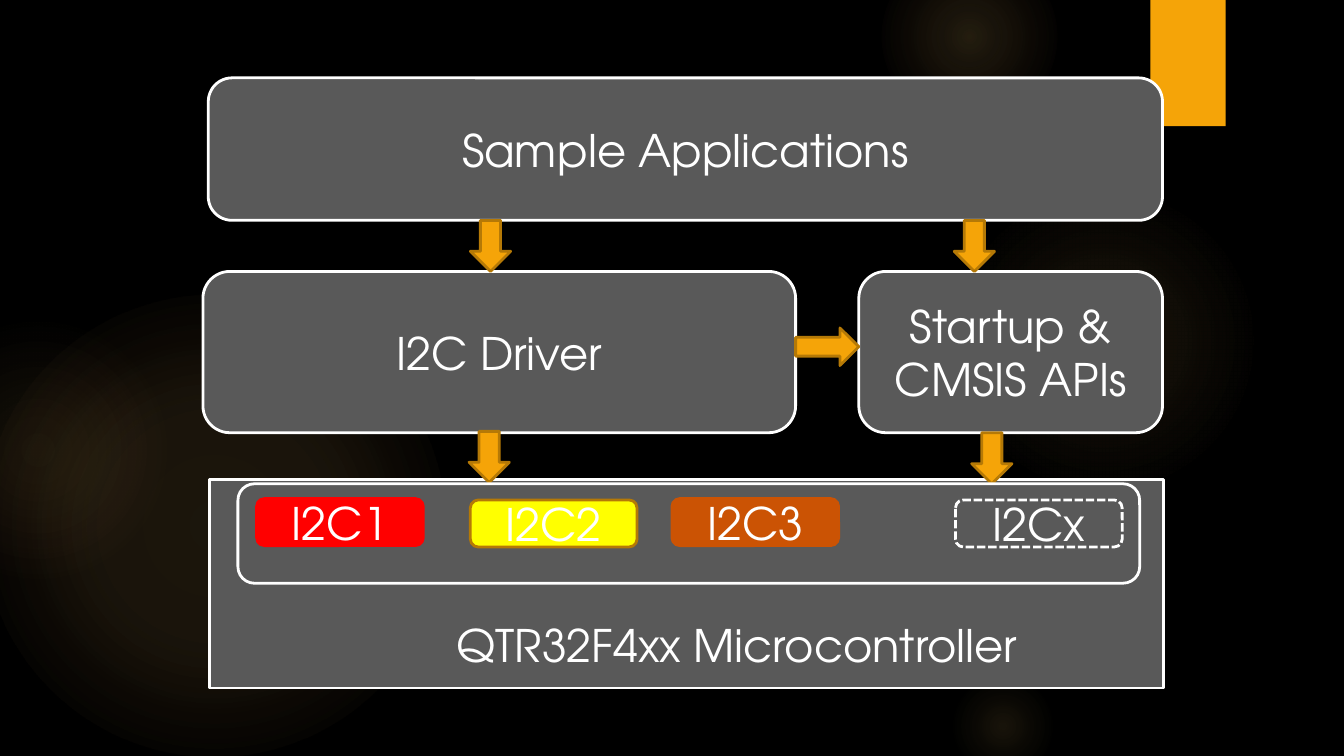
from dataclasses import dataclass
from typing import Optional

from lxml.etree import SubElement
from pptx import Presentation
from pptx.dml.color import RGBColor
from pptx.enum.dml import MSO_LINE_DASH_STYLE as Dash
from pptx.enum.shapes import MSO_SHAPE as Preset
from pptx.enum.text import MSO_ANCHOR, MSO_AUTO_SIZE, PP_ALIGN
from pptx.oxml import parse_xml
from pptx.oxml.ns import nsdecls, qn
from pptx.shapes.autoshape import Shape
from pptx.slide import Slide
from pptx.util import Inches, Pt

SLIDE_WIDTH = 10
SLIDE_HEIGHT = SLIDE_WIDTH * 9 / 16


@dataclass(frozen=True)
class Theme:
    background: str = "000000"
    panel: str = "595959"
    light: str = "FFFFFF"
    accent: str = "F5A408"
    accent_edge: str = "B57906"
    glow: str = "FAC96A"
    glow_warm: str = "F59B74"
    red: str = "FF0000"
    yellow: str = "FFFF00"
    rust: str = "CB5304"
    font: str = "TeX Gyre Adventor"
    text_size: float = 24
    line_width: float = 1.5


THEME = Theme()


@dataclass(frozen=True)
class Glow:
    left: float
    top: float
    size: float
    inner_alpha: int
    middle_alpha: int
    middle_stop: int
    outer_stop: int
    outer_color: str = THEME.glow


@dataclass(frozen=True)
class Block:
    left: float
    top: float
    width: float
    height: float
    label: str = ""
    fill: Optional[str] = THEME.panel
    line: Optional[str] = THEME.light
    preset: Preset = Preset.FLOWCHART_ALTERNATE_PROCESS
    dash: Optional[Dash] = None


GLOWS = [
    Glow(-0.13, 2.19, 3.44, 11, 10, 36, 75),
    Glow(-0.69, 2.38, 1.94, 8, 5, 36, 71, THEME.glow_warm),
    Glow(7.06, 1.38, 2.31, 7, 6, 36, 69),
    Glow(6.56, -0.38, 1.31, 14, 7, 36, 73),
    Glow(7.06, 5, 0.81, 10, 5, 31, 66),
]
ACCENT_BAR = Block(8.56, 0, 0.56, 0.94, fill=THEME.accent, line=None,
                   preset=Preset.RECTANGLE)
MICROCONTROLLER = Block(1.56, 3.57, 7.1, 1.55, preset=Preset.RECTANGLE)
PERIPHERAL_BANK = Block(1.77, 3.6, 6.71, 0.74, fill=None)


def peripheral(left: float, top: float, label: str, fill: Optional[str],
               line: str, dash: Optional[Dash] = None) -> Block:
    return Block(left, top, 1.24, 0.35, label, fill, line, dash=dash)


def down_arrow(left: float, top: float) -> Block:
    return Block(left, top, 0.3, 0.38, fill=THEME.accent,
                 line=THEME.accent_edge, preset=Preset.DOWN_ARROW)


PERIPHERALS = [
    peripheral(1.91, 3.71, "I2C1", THEME.red, THEME.red),
    peripheral(3.5, 3.72, "I2C2", THEME.yellow, THEME.accent_edge),
    peripheral(5, 3.71, "I2C3", THEME.rust, THEME.rust),
    peripheral(7.11, 3.72, "I2Cx", None, THEME.light, Dash.SQUARE_DOT),
]
SOFTWARE_LAYERS = [
    Block(1.51, 2.02, 4.41, 1.2, "I2C Driver"),
    Block(6.39, 2.02, 2.26, 1.2, "Startup & CMSIS APIs"),
    Block(1.55, 0.58, 7.1, 1.06, "Sample Applications"),
]
ARROWS = [
    down_arrow(3.5, 1.64),
    down_arrow(3.49, 3.21),
    down_arrow(7.1, 1.64),
    down_arrow(7.23, 3.22),
    Block(5.92, 2.44, 0.47, 0.28, fill=THEME.accent,
          line=THEME.accent_edge, preset=Preset.RIGHT_ARROW),
]


def color(value: str) -> RGBColor:
    return RGBColor.from_string(value)


def write_label(shape: Shape, label: str, align: PP_ALIGN) -> None:
    shape.text_frame.text = label
    paragraph = shape.text_frame.paragraphs[0]
    paragraph.alignment = align
    font = paragraph.runs[0].font
    font.name = THEME.font
    font.size = Pt(THEME.text_size)
    font.color.rgb = color(THEME.light)


def draw_block(slide: Slide, block: Block) -> Shape:
    shape = slide.shapes.add_shape(
        block.preset, Inches(block.left), Inches(block.top),
        Inches(block.width), Inches(block.height))
    shape.shadow.inherit = False
    if block.fill:
        shape.fill.solid()
        shape.fill.fore_color.rgb = color(block.fill)
    else:
        shape.fill.background()
    if block.line:
        shape.line.color.rgb = color(block.line)
        shape.line.width = Pt(THEME.line_width)
        if block.dash:
            shape.line.dash_style = block.dash
    else:
        shape.line.fill.background()
    if block.label:
        shape.text_frame.word_wrap = True
        shape.text_frame.vertical_anchor = MSO_ANCHOR.MIDDLE
        write_label(shape, block.label, PP_ALIGN.CENTER)
    return shape


def draw_glow(slide: Slide, glow: Glow) -> None:
    """Draw a circle whose colour fades out from its centre."""
    circle = draw_block(slide, Block(glow.left, glow.top, glow.size, glow.size,
                                     fill=None, line=None, preset=Preset.OVAL))
    stops = [(0, THEME.glow, glow.inner_alpha),
             (glow.middle_stop, THEME.glow, glow.middle_alpha),
             (glow.outer_stop, glow.outer_color, 0)]
    stop_xml = "".join(
        f'<a:gs pos="{position * 1000}"><a:srgbClr val="{tint}">'
        f'<a:alpha val="{alpha * 1000}"/></a:srgbClr></a:gs>'
        for position, tint, alpha in stops)
    gradient = parse_xml(
        f'<a:gradFill {nsdecls("a")} rotWithShape="1"><a:gsLst>{stop_xml}</a:gsLst>'
        '<a:path path="circle"><a:fillToRect l="50000" t="50000" r="50000" '
        'b="50000"/></a:path></a:gradFill>')
    properties = circle.element.spPr
    properties.replace(properties.find(qn("a:noFill")), gradient)


def add_drop_shadow(shape: Shape) -> None:
    effects = shape.element.spPr.find(qn("a:effectLst"))
    shadow = SubElement(effects, qn("a:outerShdw"), blurRad=str(Pt(3)),
                        dist=str(Pt(2)), dir="5400000", rotWithShape="0")
    tint = SubElement(shadow, qn("a:srgbClr"), val=THEME.background)
    SubElement(tint, qn("a:alpha"), val="45000")


def main() -> None:
    deck = Presentation()
    deck.slide_width = Inches(SLIDE_WIDTH)
    deck.slide_height = Inches(SLIDE_HEIGHT)
    slide = deck.slides.add_slide(deck.slide_layouts[6])
    slide.background.fill.solid()
    slide.background.fill.fore_color.rgb = color(THEME.background)

    for glow in GLOWS:
        draw_glow(slide, glow)
    add_drop_shadow(draw_block(slide, ACCENT_BAR))
    for block in [MICROCONTROLLER, *PERIPHERALS, *SOFTWARE_LAYERS, *ARROWS,
                  PERIPHERAL_BANK]:
        draw_block(slide, block)

    caption = slide.shapes.add_textbox(Inches(3.3), Inches(4.55),
                                       Inches(4.41), Inches(0.5))
    caption.text_frame.word_wrap = False
    caption.text_frame.auto_size = MSO_AUTO_SIZE.SHAPE_TO_FIT_TEXT
    write_label(caption, "QTR32F4xx Microcontroller", PP_ALIGN.LEFT)

    deck.save("out.pptx")


if __name__ == "__main__":
    main()
